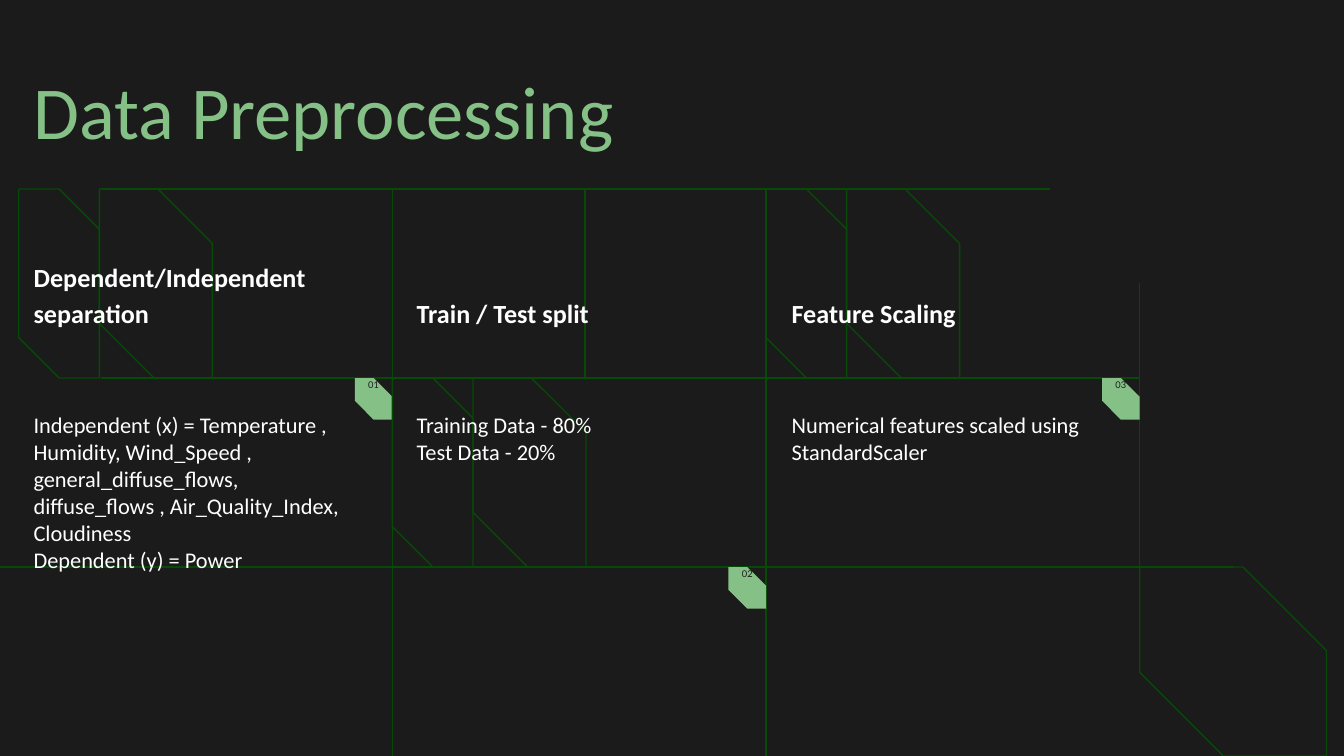
"""Build the data preprocessing slide: three cards on a circuit-like grid."""
from typing import NamedTuple

from lxml.etree import SubElement
from pptx import Presentation
from pptx.dml.color import RGBColor
from pptx.enum.shapes import MSO_CONNECTOR, MSO_SHAPE
from pptx.enum.text import MSO_ANCHOR, PP_ALIGN
from pptx.oxml.ns import qn
from pptx.util import Inches, Pt

BACKGROUND = RGBColor(0x1B, 0x1B, 0x1B)
DARK_GREEN = RGBColor(0x07, 0x49, 0x07)
LIGHT_GREEN = RGBColor(0x85, 0xC0, 0x86)
WHITE = RGBColor(0xFF, 0xFF, 0xFF)

SLIDE_WIDTH, SLIDE_HEIGHT = 10, 5.625
GRID_LEFT, COLUMN_WIDTH = 0.14, 2.78
ROW_HEIGHT = SLIDE_HEIGHT / 4
NARROW_PANEL, WIDE_PANEL = 0.6, 0.84
BADGE_WIDTH, BADGE_HEIGHT = 0.28, 0.31


class GridLine(NamedTuple):
    """A line between two points given in columns and rows."""
    start: tuple[float, float]
    end: tuple[float, float]


class Card(NamedTuple):
    """A numbered step, with its place on the grid and its text."""
    number: str
    column: int
    panel_row: int
    text_left: float
    heading: str
    body: list[str]


GRID_LINES = [
    GridLine((-0.05, 3), (3.25, 3)),
    GridLine((0.22, 2), (3, 2)),
    GridLine((0.22, 1), (2.76, 1)),
    GridLine((1.515, 1), (1.515, 2)),
    GridLine((1, 1), (1, 4)),
    GridLine((2, 1), (2, 4)),
    GridLine((3, 1.5), (3, 3)),
]

CARDS = [
    Card("01", 0, 1, 0.25, "Dependent/Independent separation", [
        "Independent (x) = Temperature , Humidity, Wind_Speed , general_diffuse_flows, "
        "diffuse_flows , Air_Quality_Index, Cloudiness",
        "Dependent (y) = Power",
    ]),
    Card("02", 1, 2, 3.1, "Train / Test split", ["Training Data - 80%", "Test Data - 20%"]),
    Card("03", 2, 1, 5.89, "Feature Scaling",
         ["Numerical features scaled using StandardScaler"]),
]


def column_left(column: float) -> float:
    """Return the horizontal position of a grid column in inches."""
    return GRID_LEFT + column * COLUMN_WIDTH


def row_top(row: float) -> float:
    """Return the vertical position of a grid row in inches."""
    return row * ROW_HEIGHT


def draw_line(slide, line: GridLine) -> None:
    """Draw one thin grid line."""
    points = [Inches(place(value)) for point in line
              for place, value in zip((column_left, row_top), point)]
    connector = slide.shapes.add_connector(MSO_CONNECTOR.STRAIGHT, *points)
    connector.line.color.rgb = DARK_GREEN
    connector.line.width = Pt(0.75)
    SubElement(connector._element.spPr, qn("a:effectLst"))


def draw_snipped(slide, left: float, top: float, width: float, height: float,
                 snip: float = 0.5, fill: RGBColor | None = None) -> None:
    """Draw a snipped rectangle, filled or as an outline."""
    shape = slide.shapes.add_shape(MSO_SHAPE.SNIP_2_DIAG_RECTANGLE, Inches(left),
                                   Inches(top), Inches(width), Inches(height))
    shape.adjustments[0], shape.adjustments[1] = 0, snip
    shape.shadow.inherit = False
    if fill is None:
        shape.fill.background()
        shape.line.color.rgb = DARK_GREEN
        shape.line.width = Pt(0.75)
    else:
        shape.fill.solid()
        shape.fill.fore_color.rgb = fill
        shape.line.fill.background()


def add_text(slide, paragraphs: list[str], *, left: float, top: float, width: float,
             height: float, size: float, color: RGBColor = WHITE, font: str = "Calibri",
             bold: bool = False, spacing: float = 1.15, align: PP_ALIGN = PP_ALIGN.LEFT,
             anchor: MSO_ANCHOR = MSO_ANCHOR.TOP,
             insets: tuple[float, float, float, float] = (0, 0, 0.1, 0.1)) -> None:
    """Add a wrapped text box; insets run left, top, right, bottom."""
    frame = slide.shapes.add_textbox(Inches(left), Inches(top), Inches(width),
                                     Inches(height)).text_frame
    frame.word_wrap = True
    frame.vertical_anchor = anchor
    (frame.margin_left, frame.margin_top,
     frame.margin_right, frame.margin_bottom) = map(Inches, insets)
    for index, text in enumerate(paragraphs):
        paragraph = frame.add_paragraph() if index else frame.paragraphs[0]
        paragraph.alignment = align
        paragraph.line_spacing = spacing
        run = paragraph.add_run()
        run.text = text
        run.font.name = font
        run.font.size = Pt(size)
        run.font.bold = bold
        run.font.color.rgb = color


def draw_card(slide, card: Card) -> None:
    """Draw the panels, badge and text of one card."""
    left, top = column_left(card.column), row_top(card.panel_row)
    draw_snipped(slide, left + NARROW_PANEL, top, WIDE_PANEL, ROW_HEIGHT, snip=0.483)
    draw_snipped(slide, left, top, NARROW_PANEL, ROW_HEIGHT)
    badge = {"left": column_left(card.column + 1) - BADGE_WIDTH,
             "top": row_top(card.panel_row + 1),
             "width": BADGE_WIDTH, "height": BADGE_HEIGHT}
    draw_snipped(slide, **badge, fill=LIGHT_GREEN)
    add_text(slide, [card.heading], left=card.text_left, top=2.12, width=2.13, height=0.33,
             size=14, bold=True, anchor=MSO_ANCHOR.BOTTOM, insets=(0, 0.1, 0.1, 0))
    add_text(slide, card.body, left=card.text_left, top=3.06, width=2.4, height=0.48,
             size=12, spacing=1.0)
    add_text(slide, [card.number], **badge, size=5, color=BACKGROUND, font="Lato",
             align=PP_ALIGN.CENTER, insets=(0, 0, 0, 0))


def main() -> None:
    """Build and save the presentation."""
    presentation = Presentation()
    presentation.slide_width = Inches(SLIDE_WIDTH)
    presentation.slide_height = Inches(SLIDE_HEIGHT)
    slide = presentation.slides.add_slide(presentation.slide_layouts[6])
    slide.background.fill.solid()
    slide.background.fill.fore_color.rgb = BACKGROUND
    for line in GRID_LINES:
        draw_line(slide, line)
    draw_snipped(slide, column_left(3), row_top(3), COLUMN_WIDTH / 2, ROW_HEIGHT, snip=0.448)
    add_text(slide, ["Data Preprocessing"], left=0.25, top=0.46, width=7.09, height=0.81,
             size=40, color=LIGHT_GREEN, spacing=0.9, insets=(0, 0.1, 0.1, 0.1))
    for card in CARDS:
        draw_card(slide, card)
    presentation.save("out.pptx")


if __name__ == "__main__":
    main()
